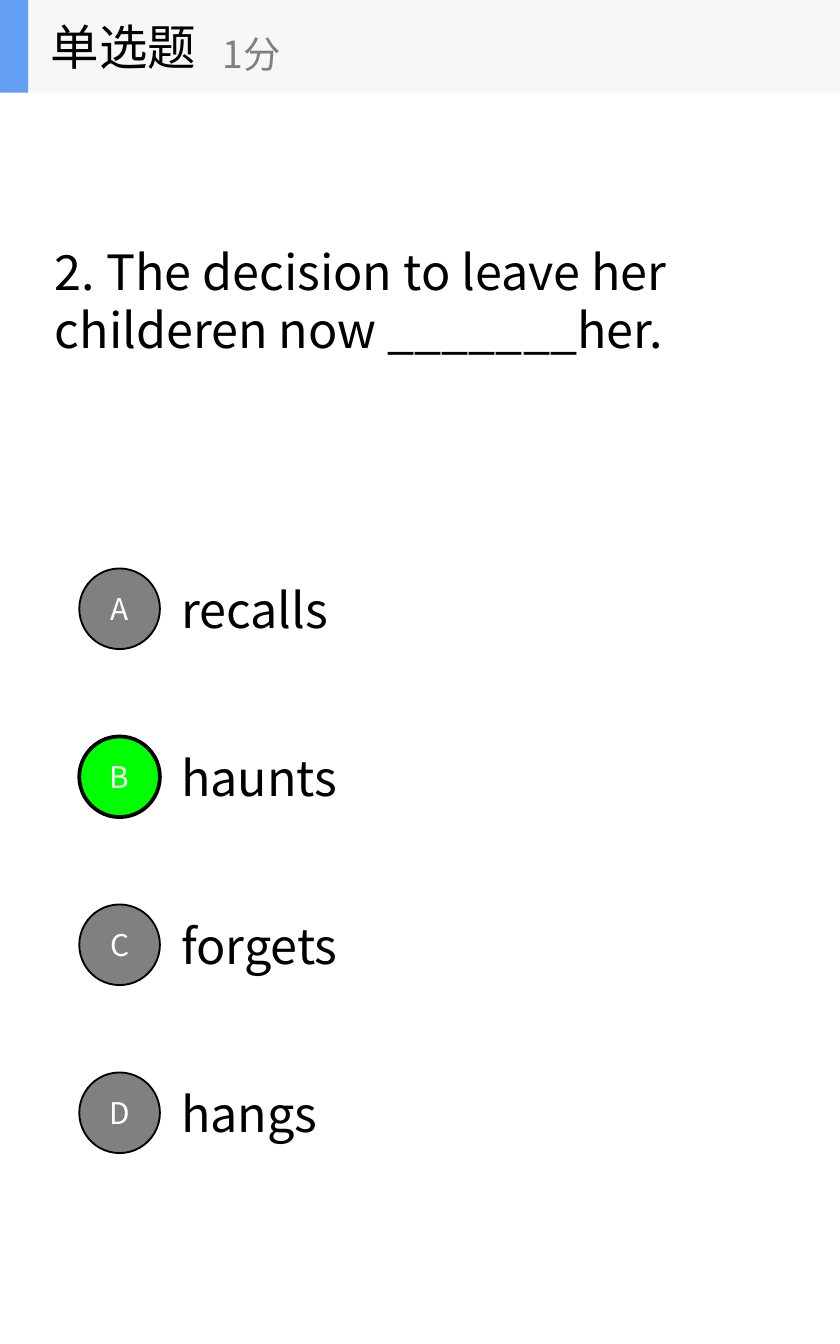
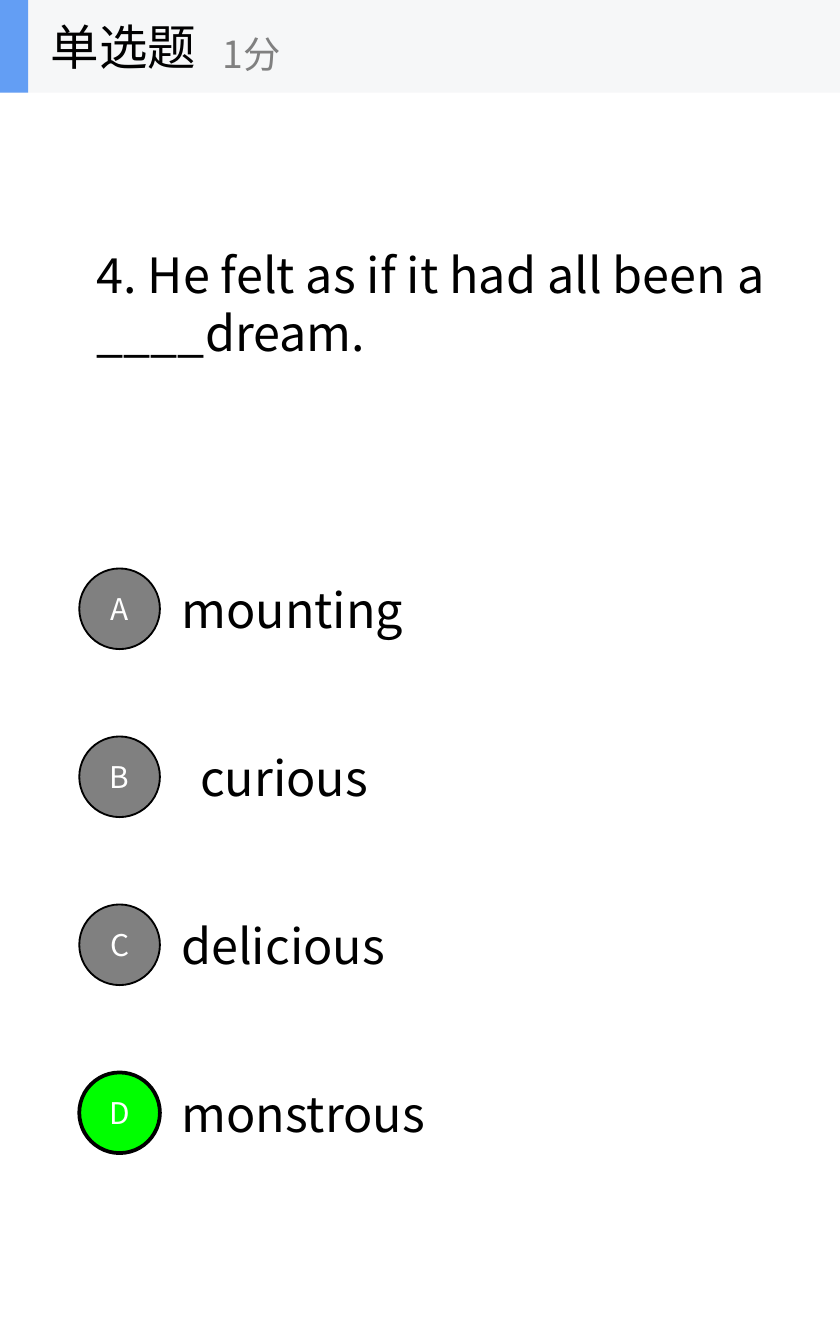
from dataclasses import dataclass

from lxml import etree
from pptx import Presentation
from pptx.dml.color import RGBColor
from pptx.enum.shapes import MSO_SHAPE
from pptx.enum.text import MSO_ANCHOR, MSO_AUTO_SIZE, PP_ALIGN
from pptx.oxml.ns import qn
from pptx.util import Pt

RECTANGLE, OVAL = MSO_SHAPE.RECTANGLE, MSO_SHAPE.OVAL
MIDDLE = MSO_ANCHOR.MIDDLE
GROW, FIXED = MSO_AUTO_SIZE.SHAPE_TO_FIT_TEXT, MSO_AUTO_SIZE.NONE
LEFT, CENTER = PP_ALIGN.LEFT, PP_ALIGN.CENTER

PX = 9144  # 100 px to the inch
SLIDE_WIDTH, SLIDE_HEIGHT = 625, 1000
HEADER_HEIGHT = 69
BADGE_LEFT, BADGE_TOP, BADGE_SIZE = 59, 423, 60
OPTION_LEFT, OPTION_WIDTH, OPTION_HEIGHT = 125, 284, 54
OPTION_STEP = 125
QUESTION_HEIGHT = 97


@dataclass(frozen=True)
class Theme:
    font: str = "Noto Sans CJK SC"
    ink: str = "000000"
    muted: str = "808080"
    white: str = "FFFFFF"
    correct: str = "00FF00"
    band: str = "F6F7F8"
    accent: str = "639EF4"
    body_size: int = 26
    score_size: int = 20
    badge_size: int = 16


@dataclass(frozen=True)
class Option:
    text: str
    width: int = OPTION_WIDTH
    left: int = OPTION_LEFT


@dataclass(frozen=True)
class Question:
    text: str
    box: tuple  # left, top, width
    options: tuple
    answer: str


QUESTIONS = (
    Question(
        "2. The decision to leave her childeren now _______her.",
        (31, 175, 500),
        (Option("recalls", 231), Option("haunts", 244),
         Option("forgets", 148), Option("hangs")),
        "B",
    ),
    Question(
        "4. He felt as if it had all been a ____dream.",
        (62, 177, 525),
        (Option("mounting", 231), Option("curious", left=139),
         Option("delicious"), Option("monstrous")),
        "D",
    ),
)


class QuizDeck:
    def __init__(self, theme):
        self.theme = theme
        self.presentation = Presentation()
        self.presentation.slide_width = SLIDE_WIDTH * PX
        self.presentation.slide_height = SLIDE_HEIGHT * PX
        self.slide = None

    def new_slide(self):
        self.slide = self.presentation.slides.add_slide(
            self.presentation.slide_layouts[6])

    def set_text(self, shape, text, size, color, align=LEFT):
        frame = shape.text_frame
        frame.vertical_anchor = MIDDLE
        paragraph = frame.paragraphs[0]
        paragraph.text = text
        paragraph.alignment = align
        paragraph.font.size = Pt(size)
        paragraph.font.name = self.theme.font
        paragraph.font.color.rgb = RGBColor.from_string(color)
        # East Asian glyphs take the same typeface
        for run in paragraph.runs:
            east_asian = etree.SubElement(run._r.get_or_add_rPr(), qn("a:ea"))
            east_asian.set("typeface", self.theme.font)

    def text(self, parent, box, text, size, color, wrap=True):
        shape = parent.add_textbox(*(value * PX for value in box))
        shape.text_frame.word_wrap = wrap
        shape.text_frame.auto_size = GROW if wrap else FIXED
        self.set_text(shape, text, size, color)

    def shape(self, parent, kind, box, fill, line_width=0):
        shape = parent.add_shape(kind, *(value * PX for value in box))
        shape.shadow.inherit = False
        shape.fill.solid()
        shape.fill.fore_color.rgb = RGBColor.from_string(fill)
        if line_width:
            shape.line.color.rgb = RGBColor.from_string(self.theme.ink)
            shape.line.width = Pt(line_width)
        else:
            shape.line.fill.background()
        return shape

    def header(self):
        theme = self.theme
        group = self.slide.shapes.add_group_shape().shapes
        self.shape(group, RECTANGLE, (0, 0, SLIDE_WIDTH, HEADER_HEIGHT), theme.band)
        self.shape(group, RECTANGLE, (0, 0, 21, HEADER_HEIGHT), theme.accent)
        self.text(group, (28, 0, 208, HEADER_HEIGHT), "单选题",
                  theme.body_size, theme.ink, wrap=False)
        self.text(group, (156, 12, 250, 56), "1分",
                  theme.score_size, theme.muted, wrap=False)

    def option(self, row, letter, option, is_correct):
        theme, shapes = self.theme, self.slide.shapes
        top = BADGE_TOP + row * OPTION_STEP
        text_top = top + (BADGE_SIZE - OPTION_HEIGHT) // 2
        self.text(shapes, (option.left, text_top, option.width, OPTION_HEIGHT),
                  option.text, theme.body_size, theme.ink)
        badge = self.shape(shapes, OVAL, (BADGE_LEFT, top, BADGE_SIZE, BADGE_SIZE),
                           theme.correct if is_correct else theme.muted,
                           2 if is_correct else 1)
        self.set_text(badge, letter, theme.badge_size, theme.white, CENTER)

    def question(self, question):
        self.new_slide()
        self.text(self.slide.shapes, (*question.box, QUESTION_HEIGHT), question.text,
                  self.theme.body_size, self.theme.ink)
        for row, (letter, option) in enumerate(zip("ABCD", question.options)):
            self.option(row, letter, option, letter == question.answer)
        self.header()


def main():
    deck = QuizDeck(Theme())
    for question in QUESTIONS:
        deck.question(question)
    deck.presentation.save("out.pptx")


if __name__ == "__main__":
    main()
